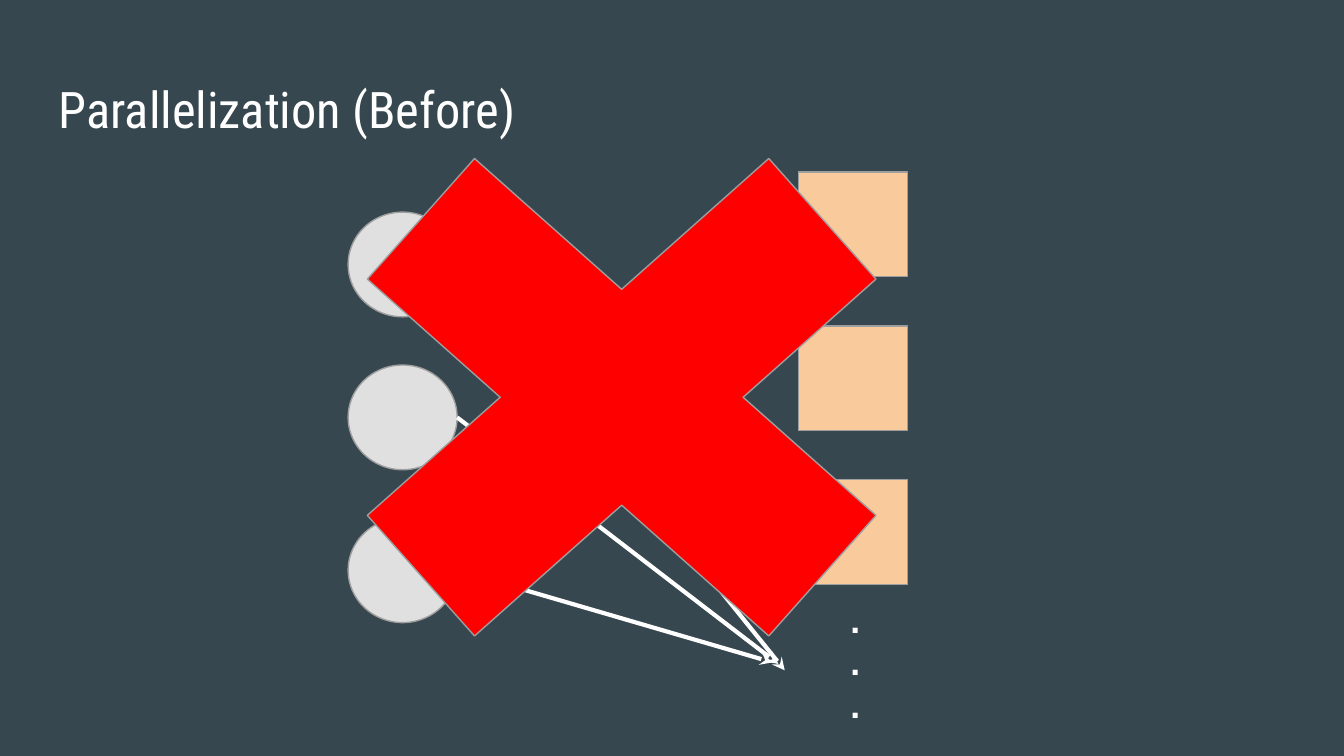
from lxml.etree import SubElement
from pptx import Presentation
from pptx.dml.color import RGBColor
from pptx.enum.shapes import MSO_CONNECTOR, MSO_SHAPE
from pptx.enum.text import MSO_ANCHOR, MSO_AUTO_SIZE, PP_ALIGN
from pptx.oxml.ns import qn
from pptx.util import Cm, Pt

TITLE = "Parallelization (Before)"
MORE_DOTS = [".", ".", "."]
COLORS = {
    "background": "37474F",
    "text": "FFFFFF",
    "worker": "E0E0E0",
    "task": "F9CB9C",
    "cross": "FF0000",
    "outline": "9E9E9E",
}
ROWS = 3
NODE_WIDTH, NODE_HEIGHT = 2.06, 1.98
WORKER_LEFT, WORKER_TOP, WORKER_PITCH = 6.58, 4.01, 2.89
TASK_LEFT, TASK_TOP, TASK_PITCH = 15.09, 3.25, 2.91
ARROW_ENDS = [(14.83, 12.67), (14.71, 12.55), (14.6, 12.52)]
CROSS_BOX = (4.45, 1.02, 14.6, 12.98)
CROSS_THICKNESS = 0.235


def color(name):
    return RGBColor.from_string(COLORS[name])


def add_solid(slide, preset, box, fill):
    solid = slide.shapes.add_shape(preset, *map(Cm, box))
    solid.shadow.inherit = False
    solid.fill.solid()
    solid.fill.fore_color.rgb = color(fill)
    solid.line.color.rgb = color("outline")
    solid.line.width = Pt(0.75)
    return solid


def add_arrow(slide, start, end):
    arrow = slide.shapes.add_connector(MSO_CONNECTOR.STRAIGHT, *map(Cm, start + end))
    arrow.line.color.rgb = color("text")
    arrow.line.width = Pt(2.25)
    SubElement(arrow.line._get_or_add_ln(), qn("a:tailEnd"), type="stealth")
    SubElement(arrow._element.spPr, qn("a:effectLst"))


def style_text(frame, font_name, size, bold):
    frame.margin_left = frame.margin_right = Cm(0.25)
    frame.margin_top = frame.margin_bottom = Cm(0.25)
    for paragraph in frame.paragraphs:
        paragraph.alignment = PP_ALIGN.LEFT
        for run in paragraph.runs:
            run.font.name = font_name
            run.font.size = Pt(size)
            run.font.bold = bold
            run.font.color.rgb = color("text")


def main():
    deck = Presentation()
    deck.slide_width, deck.slide_height = Cm(25.4), Cm(14.29)
    slide = deck.slides.add_slide(deck.slide_layouts[5])
    slide.background.fill.solid()
    slide.background.fill.fore_color.rgb = color("background")

    title = slide.shapes.title
    title.left, title.top, title.width, title.height = map(Cm, (0.86, 1.24, 23.67, 1.6))
    title.text_frame.text = TITLE
    title.text_frame.auto_size = MSO_AUTO_SIZE.NONE
    title.text_frame.vertical_anchor = MSO_ANCHOR.MIDDLE
    style_text(title.text_frame, "Roboto Condensed", 27, False)

    worker_tops = [WORKER_TOP + row * WORKER_PITCH for row in range(ROWS)]
    task_tops = [TASK_TOP + row * TASK_PITCH for row in range(ROWS)]
    for top in worker_tops:
        add_solid(slide, MSO_SHAPE.OVAL, (WORKER_LEFT, top, NODE_WIDTH, NODE_HEIGHT), "worker")
    for top in task_tops:
        add_solid(slide, MSO_SHAPE.RECTANGLE, (TASK_LEFT, top, NODE_WIDTH, NODE_HEIGHT), "task")

    more_tasks = slide.shapes.add_textbox(*map(Cm, (15.82, 11.05, 1.32, 2.95)))
    more_tasks.text_frame.word_wrap = True
    more_tasks.text_frame.text = "\n".join(MORE_DOTS)
    style_text(more_tasks.text_frame, "Arial", 19, True)

    for top, end in zip(worker_tops, ARROW_ENDS):
        add_arrow(slide, (WORKER_LEFT + NODE_WIDTH, top + NODE_HEIGHT / 2), end)

    cross = add_solid(slide, MSO_SHAPE.MATH_MULTIPLY, CROSS_BOX, "cross")
    cross.adjustments[0] = CROSS_THICKNESS

    deck.save("out.pptx")


if __name__ == "__main__":
    main()
